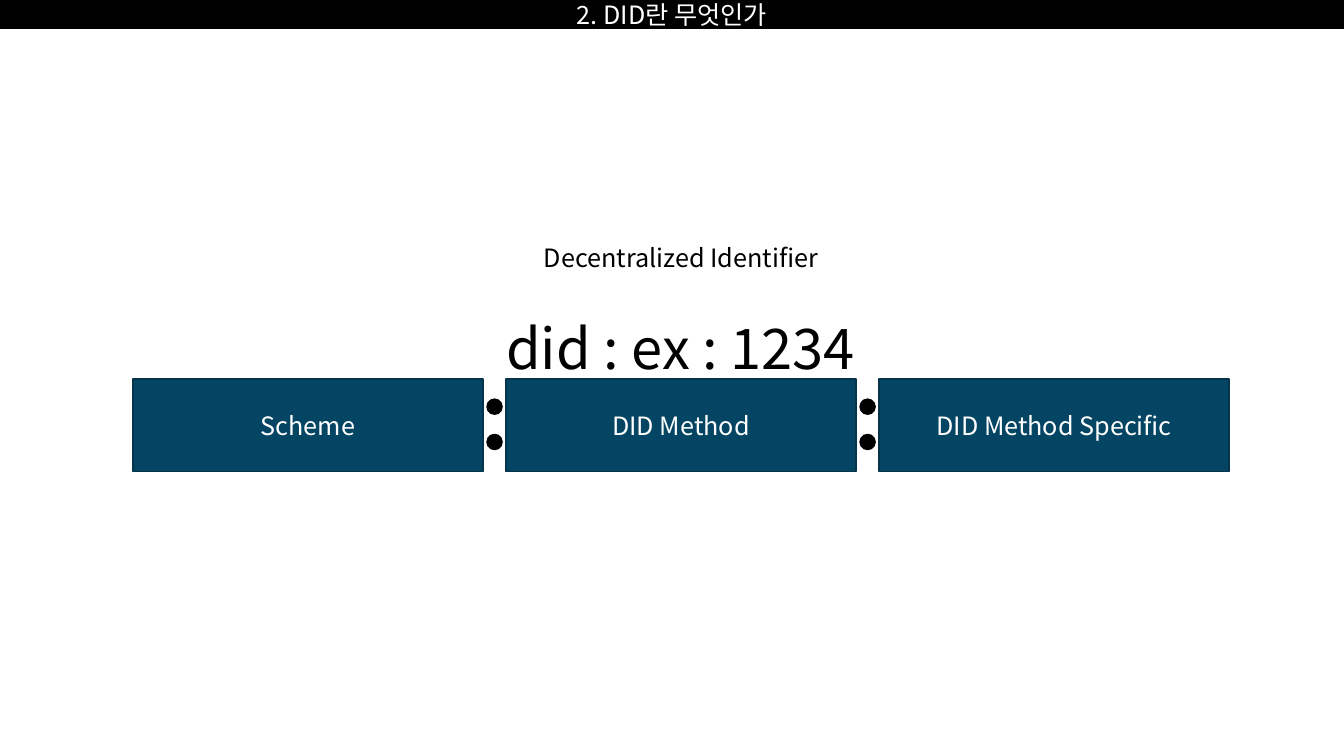
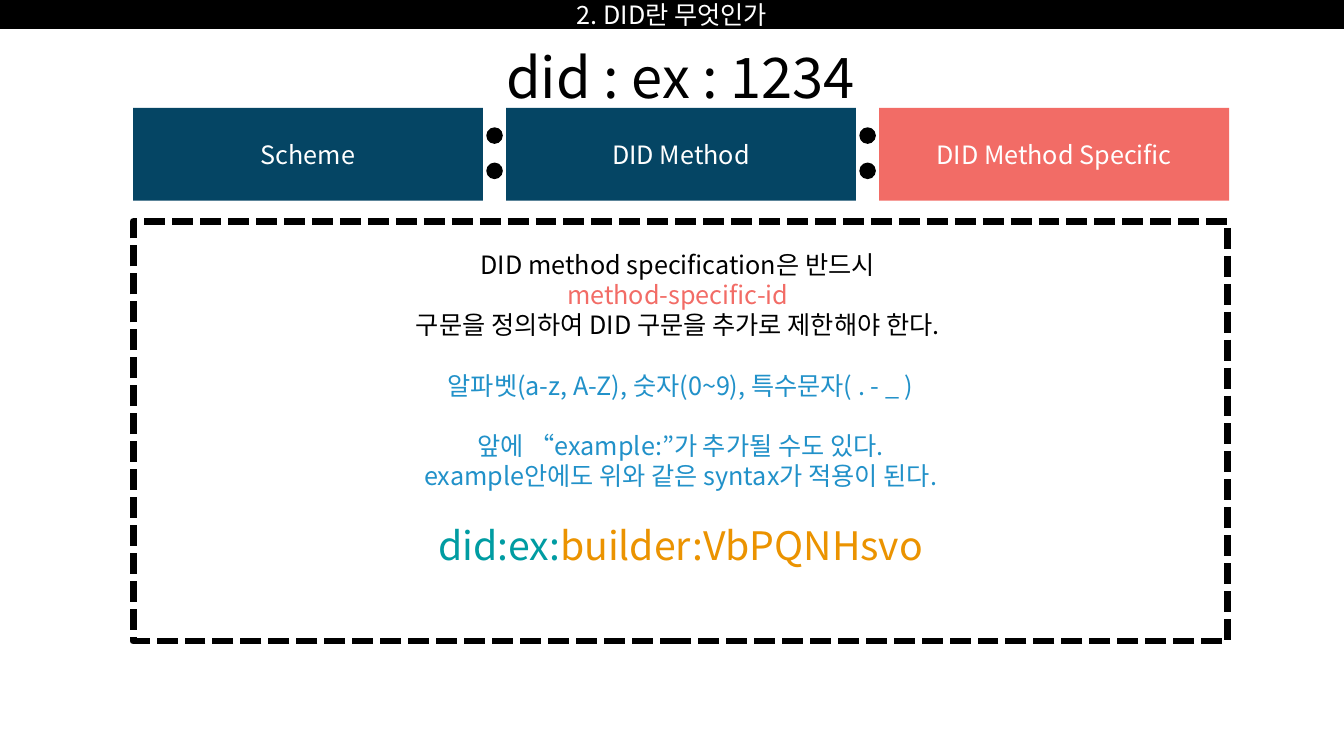
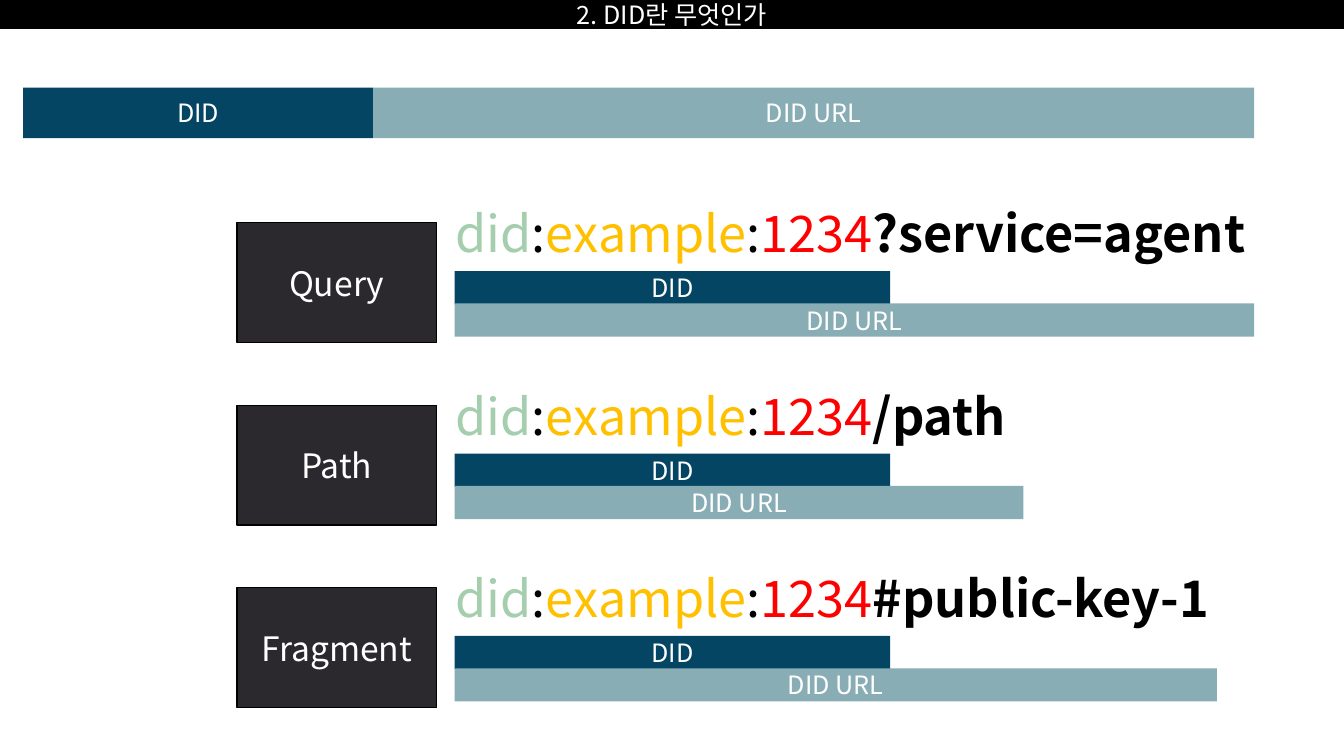
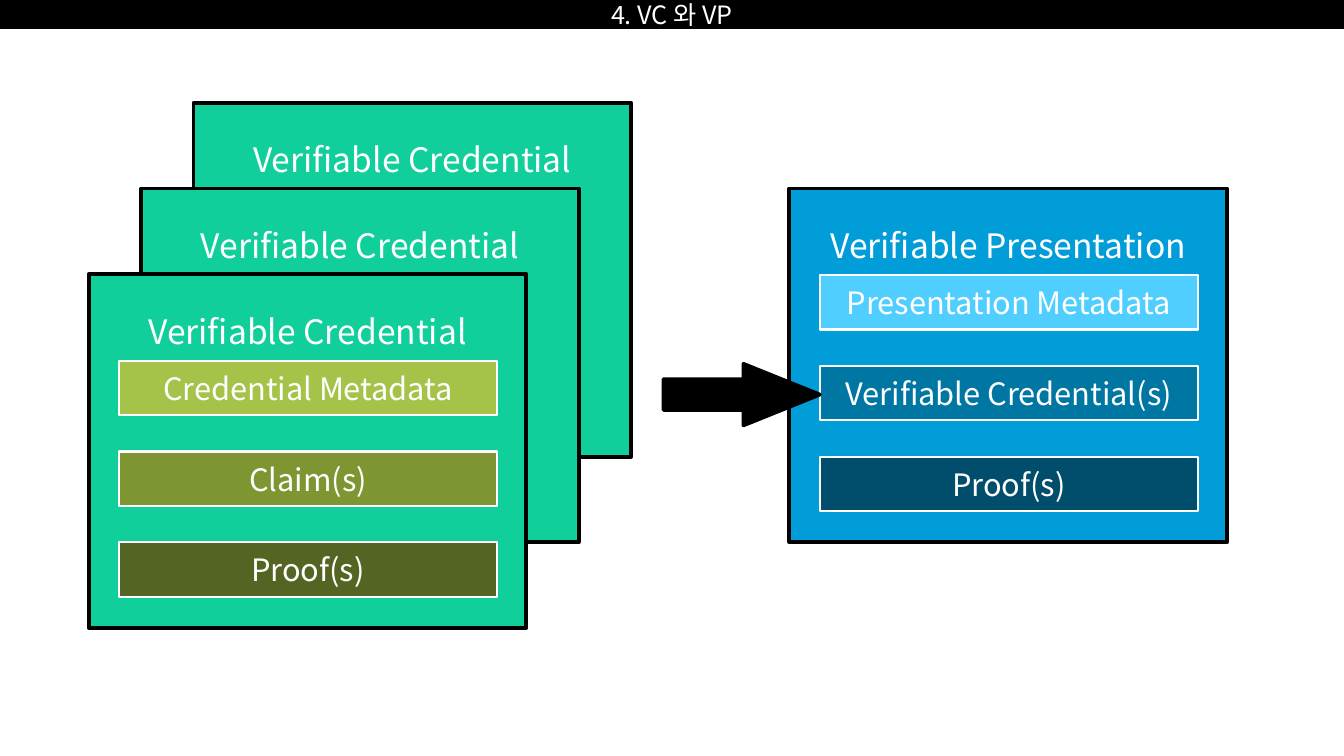
from dataclasses import dataclass

from lxml import etree
from pptx import Presentation
from pptx import util as u
from pptx.dml.color import RGBColor
from pptx.enum import dml, shapes, text
from pptx.oxml import ns

PX = 9144  # 100 px to the inch
RECT = shapes.MSO_SHAPE.RECTANGLE


@dataclass(frozen=True)
class Theme:
    font: str = "Noto Sans CJK KR"
    white: str = "FFFFFF"
    black: str = "000000"
    navy: str = "054564"
    navy_edge: str = "04334A"
    coral: str = "F26C66"
    sky: str = "2191C9"
    teal: str = "009CA2"
    orange: str = "EB9300"
    mist: str = "89ADB4"
    charcoal: str = "2B292E"
    sage: str = "A4CEAE"
    yellow: str = "FFC000"
    red: str = "FF0000"
    green: str = "10CF9B"
    blue: str = "009DD9"
    credential_fills: tuple = ("A5C249", "7E9632", "546422")
    presentation_fills: tuple = ("4FCEFF", "0076A3", "004E6C")
    body: int = 18
    field: int = 22
    label: int = 24
    example: int = 28
    url: int = 36
    did: int = 40


T = Theme()


def write(paragraph, size, *pieces, align=text.PP_ALIGN.CENTER):
    """Fill a paragraph with (wording, colour) pieces; the last colour is its default."""
    base = pieces[-1][1]
    paragraph.alignment = align
    paragraph.font.size = u.Pt(size)
    paragraph.font.color.rgb = RGBColor.from_string(base)
    paragraph.font.name = T.font
    defaults = paragraph._p.pPr.find(ns.qn("a:defRPr"))
    etree.SubElement(defaults, ns.qn("a:ea"), typeface=T.font)
    for wording, colour in pieces:
        run = paragraph.add_run()
        run.text = wording
        if colour != base:
            run.font.color.rgb = RGBColor.from_string(colour)


def add_block(slide, at, fill, wording="", size=T.body, edge=None, weight=1, kind=RECT):
    block = slide.shapes.add_shape(kind, *(n * PX for n in at))
    block.shadow.inherit = False
    block.fill.solid()
    block.fill.fore_color.rgb = RGBColor.from_string(fill)
    if edge:
        block.line.color.rgb = RGBColor.from_string(edge)
        block.line.width = u.Pt(weight)
    else:
        block.line.fill.background()
    if wording:
        write(block.text_frame.paragraphs[0], size, (wording, T.white))
    return block


deck = Presentation()
deck.slide_width, deck.slide_height = 1333 * PX, 750 * PX

# Every slide opens with the chapter band
slides = []
for chapter in ["2. DID란 무엇인가"] * 3 + ["4. VC 와 VP"]:
    slide = deck.slides.add_slide(deck.slide_layouts[6])
    add_block(slide, (0, 0, 1333, 28), T.black, chapter, edge=T.black)
    slides.append(slide)
overview, syntax, urls, credentials = slides

# Slides 1 and 2: the three segments of a DID, with colons between them
for slide, top, last_fill, edge in (
    (overview, 376, T.navy, T.navy_edge),
    (syntax, 107, T.coral, None),
):
    segments = (("Scheme", T.navy), ("DID Method", T.navy), ("DID Method Specific", last_fill))
    for i, (segment, fill) in enumerate(segments):
        add_block(slide, (132 + 370 * i, top, 347, 92), fill, segment, edge=edge)
    for left in (483, 853):
        for drop in (20, 55):
            add_block(slide, (left, top + drop, 15, 15), T.black, edge=T.black,
                      kind=shapes.MSO_SHAPE.OVAL)
    sample = slide.shapes.add_textbox(131 * PX, (top - 70) * PX, 1088 * PX, 77 * PX)
    sample.text_frame.word_wrap = True
    write(sample.text_frame.paragraphs[0], T.did, ("did : ex : 1234", T.black))

meaning = overview.shapes.add_textbox(502 * PX, 235 * PX, 347 * PX, 40 * PX)
meaning.text_frame.word_wrap = True
write(meaning.text_frame.paragraphs[0], T.body, ("Decentralized Identifier", T.black))

# Slide 2: rules for the method-specific segment
rules = add_block(syntax, (132, 220, 1086, 416), T.white, edge=T.black, weight=5)
rules.line.dash_style = dml.MSO_LINE.SQUARE_DOT
frame = rules.text_frame
frame.vertical_anchor = text.MSO_ANCHOR.TOP
frame.margin_top = 27 * PX
rule_lines = (
    (0, T.body, [("DID method specification은 반드시 ", T.black)]),
    (0, T.body, [("method-specific-id ", T.coral)]),
    (0, T.body, [("구문을 정의하여 DID 구문을 추가로 제한해야 한다. ", T.black)]),
    (30, T.body, [("알파벳(a-z, A-Z), 숫자(0~9), 특수문자( . - _ )", T.sky)]),
    (30, T.body, [("앞에 “example:”가 추가될 수도 있다.", T.sky)]),
    (0, T.body, [("example안에도 위와 같은 syntax가 적용이 된다.", T.sky)]),
    (30, T.example, [("did:ex:", T.teal), ("builder:VbPQNHsvo", T.orange)]),
)
for i, (gap, size, pieces) in enumerate(rule_lines):
    paragraph = frame.add_paragraph() if i else frame.paragraphs[0]
    paragraph.space_before = u.Emu(gap * PX)
    write(paragraph, size, *pieces)

# Slide 3: legend, then one row for each kind of DID URL
add_block(urls, (23, 87, 347, 50), T.navy, "DID")
add_block(urls, (370, 87, 874, 50), T.mist, "DID URL")
for i, (kind, suffix, url_width) in enumerate((
    ("Query", "?service=agent", 793),
    ("Path", "/path", 564),
    ("Fragment", "#public-key-1", 756),
)):
    top = 196 + 181 * i
    add_block(urls, (235, top + 25, 198, 119), T.charcoal, kind, T.label, edge=T.black)
    add_block(urls, (451, top + 73, 432, 33), T.navy, "DID")
    add_block(urls, (451, top + 105, url_width, 33), T.mist, "DID URL")
    address = urls.shapes.add_textbox(442 * PX, top * PX, 890 * PX, 71 * PX)
    address.text_frame.word_wrap = True
    line = address.text_frame.paragraphs[0]
    write(line, T.url, ("did", T.sage), (":", T.black), ("example", T.yellow),
          (":", T.black), ("1234", T.red), (suffix, T.black), align=text.PP_ALIGN.LEFT)
    line.runs[-1].font.bold = True

# Slide 4: stacked credentials feed one presentation
credential_names = ("Credential Metadata", "Claim(s)", "Proof(s)")
presentation_names = ("Presentation Metadata", "Verifiable Credential(s)", "Proof(s)")
cards = (
    (192, 102, T.green, "Verifiable Credential", ()),
    (140, 187, T.green, "Verifiable Credential", ()),
    (88, 272, T.green, "Verifiable Credential", zip(credential_names, T.credential_fills)),
    (783, 187, T.blue, "Verifiable Presentation",
     zip(presentation_names, T.presentation_fills)),
)
for left, top, fill, title, fields in cards:
    card = add_block(credentials, (left, top, 434, 351), fill, title, T.label,
                     edge=T.black, weight=2.75)
    card.text_frame.vertical_anchor = text.MSO_ANCHOR.TOP
    card.text_frame.margin_top = 36 * PX
    for i, (field, field_fill) in enumerate(fields):
        add_block(credentials, (left + 30, top + 86 + 90 * i, 375, 54), field_fill, field,
                  T.field, edge=T.white, weight=1.5)

arrow = add_block(credentials, (658, 361, 155, 61), T.black, edge=T.black, weight=2.75,
                  kind=shapes.MSO_SHAPE.RIGHT_ARROW)
arrow.adjustments[1] = 1.24

deck.save("out.pptx")
